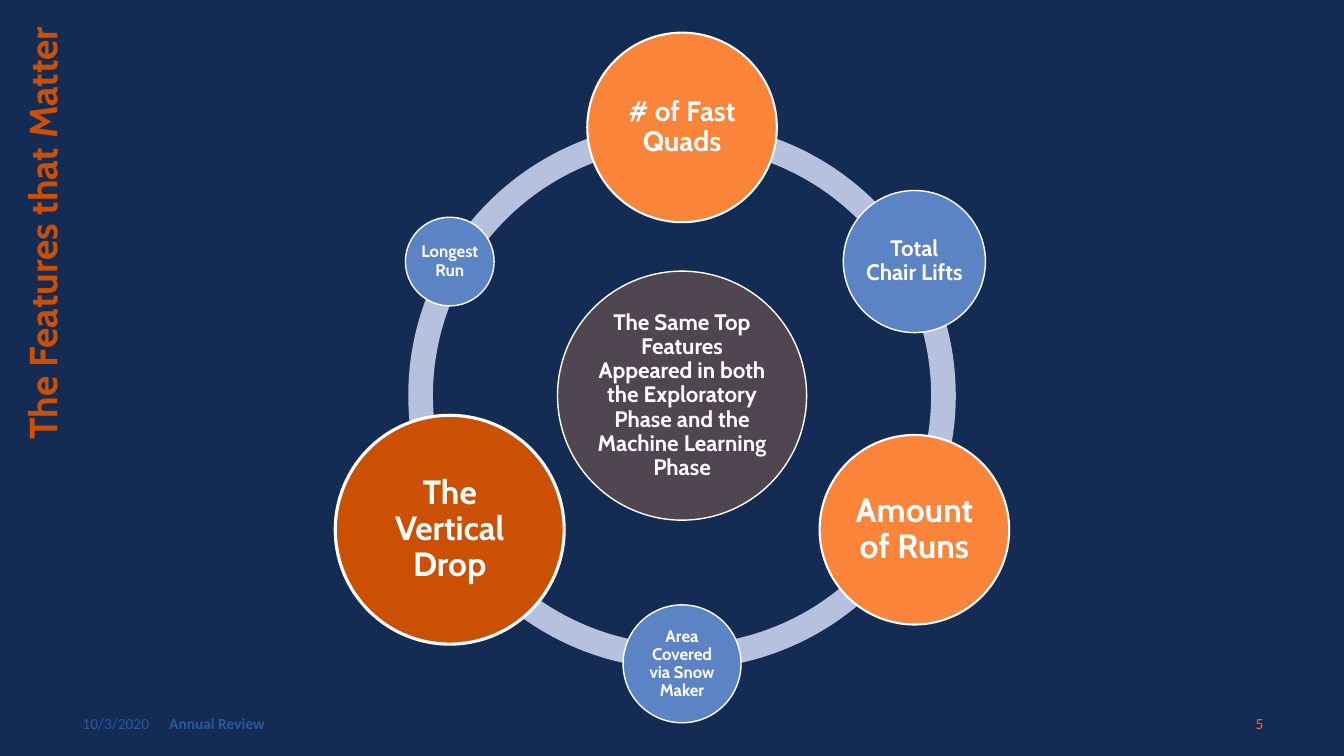
from math import cos, radians, sin

from pptx import Presentation
from pptx.dml.color import RGBColor
from pptx.enum.shapes import MSO_SHAPE as Preset
from pptx.enum.text import MSO_ANCHOR as Anchor, PP_ALIGN as Align
from pptx.util import Inches, Pt

WIDTH, HEIGHT = 13.33, 7.5
NAVY, ORANGE, RUST, BLUE = "142C54", "FB843B", "CB5004", "5C83C4"
WHITE, SLATE, LILAC = "FFFFFF", "504652", "B6C1DE"
FOOTER_BLUE, FOOTER_ORANGE = "2C599D", "FA6F1A"

CENTRAL_MESSAGE = ("The Same Top Features Appeared in both the Exploratory "
                   "Phase and the Machine Learning Phase")
FEATURES = [
    ("# of Fast Quads", 1.88, ORANGE, 20, 1.5),
    ("Total Chair Lifts", 1.41, BLUE, 16, 1),
    ("Amount of Runs", 1.88, ORANGE, 24, 1.5),
    ("Area Covered via Snow Maker", 1.17, BLUE, 12, 1),
    ("The Vertical Drop", 2.27, RUST, 24, 2.25),
    ("Longest Run", 0.88, BLUE, 12, 1),
]


def color(hex_string):
    """Turn a hex string into a colour."""
    return RGBColor.from_string(hex_string)


def apply(target, values):
    """Set each attribute named in a dict of format values."""
    for name, value in values.items():
        setattr(target, name, value)


def write(holder, words, size, hue, font="Cabin", bold=True, align=Align.LEFT,
          anchor=Anchor.MIDDLE, spacing=1.0, inset=None):
    """Write one formatted paragraph into a shape."""
    frame = holder.text_frame
    apply(frame, {"text": words, "word_wrap": True, "vertical_anchor": anchor})
    if inset is not None:
        apply(frame, {"margin_" + side: Inches(inset)
                      for side in ("left", "top", "right", "bottom")})
    paragraph = frame.paragraphs[0]
    apply(paragraph, {"alignment": align, "line_spacing": spacing})
    run_font = paragraph.runs[0].font
    apply(run_font, {"name": font, "size": Pt(size), "bold": bold})
    run_font.color.rgb = color(hue)


def add_round(slide, preset, center, diameter, fill):
    """Add a filled round shape about a centre."""
    x, y = center
    shape = slide.shapes.add_shape(
        preset, Inches(x - diameter / 2), Inches(y - diameter / 2),
        Inches(diameter), Inches(diameter))
    shape.shadow.inherit = False
    shape.fill.solid()
    shape.fill.fore_color.rgb = color(fill)
    shape.line.fill.background()
    return shape


def add_bubble(slide, center, words, diameter, fill, size, outline):
    """Add an outlined circle with centred words."""
    bubble = add_round(slide, Preset.OVAL, center, diameter, fill)
    bubble.line.fill.solid()
    bubble.line.color.rgb = color(WHITE)
    bubble.line.width = Pt(outline)
    write(bubble, words, size, WHITE, align=Align.CENTER, spacing=0.9, inset=0.02)


def add_feature_cycle(slide, left, top, diameter):
    """Draw the ring, its central message and the features around it."""
    center = left + diameter / 2, top + diameter / 2
    orbit = diameter * 0.49
    step = 360 / len(FEATURES)
    bearings = [(index * step - 90) % 360 for index in range(len(FEATURES))]
    for bearing in bearings:
        arc = add_round(slide, Preset.BLOCK_ARC, center, diameter, LILAC)
        for index, value in enumerate(
                (bearing * 0.6, (bearing + step) % 360 * 0.6, 0.045)):
            arc.adjustments[index] = value
    add_bubble(slide, center, CENTRAL_MESSAGE, diameter * 0.455, SLATE, 16, 1)
    for bearing, feature in zip(bearings, FEATURES):
        spot = (center[0] + orbit * cos(radians(bearing)),
                center[1] + orbit * sin(radians(bearing)))
        add_bubble(slide, spot, *feature)


def add_side_title(slide, left, top, width, height):
    """Turn the title to read upwards inside a tall box."""
    title = slide.shapes.title
    apply(title, {"left": Inches(left + (width - height) / 2),
                  "top": Inches(top + (height - width) / 2),
                  "width": Inches(height), "height": Inches(width),
                  "rotation": 270})
    write(title, "The Features that Matter", 28, RUST, anchor=Anchor.TOP)


def add_footer(slide, top, height):
    """Place the date, the deck name and the page number."""
    for words, left, width, hue, bold, align in (
            ("10/3/2020", 0.72, 3, FOOTER_BLUE, False, Align.LEFT),
            ("Annual Review", 1.58, 4.5, FOOTER_BLUE, True, Align.LEFT),
            ("5", 9.63, 3, FOOTER_ORANGE, False, Align.RIGHT)):
        box = slide.shapes.add_textbox(*map(Inches, (left, top, width, height)))
        write(box, words, 11, hue, "Calibri", bold, align)


def main():
    """Build and save the slide."""
    deck = Presentation()
    apply(deck, {"slide_width": Inches(WIDTH), "slide_height": Inches(HEIGHT)})
    slide = deck.slides.add_slide(deck.slide_layouts[5])
    slide.background.fill.solid()
    slide.background.fill.fore_color.rgb = color(NAVY)
    add_footer(slide, 6.98, 0.4)
    add_side_title(slide, 0.13, 0, 0.57, 4.46)
    add_feature_cycle(slide, 4.05, 1.21, 5.43)
    deck.save("out.pptx")


if __name__ == "__main__":
    main()
